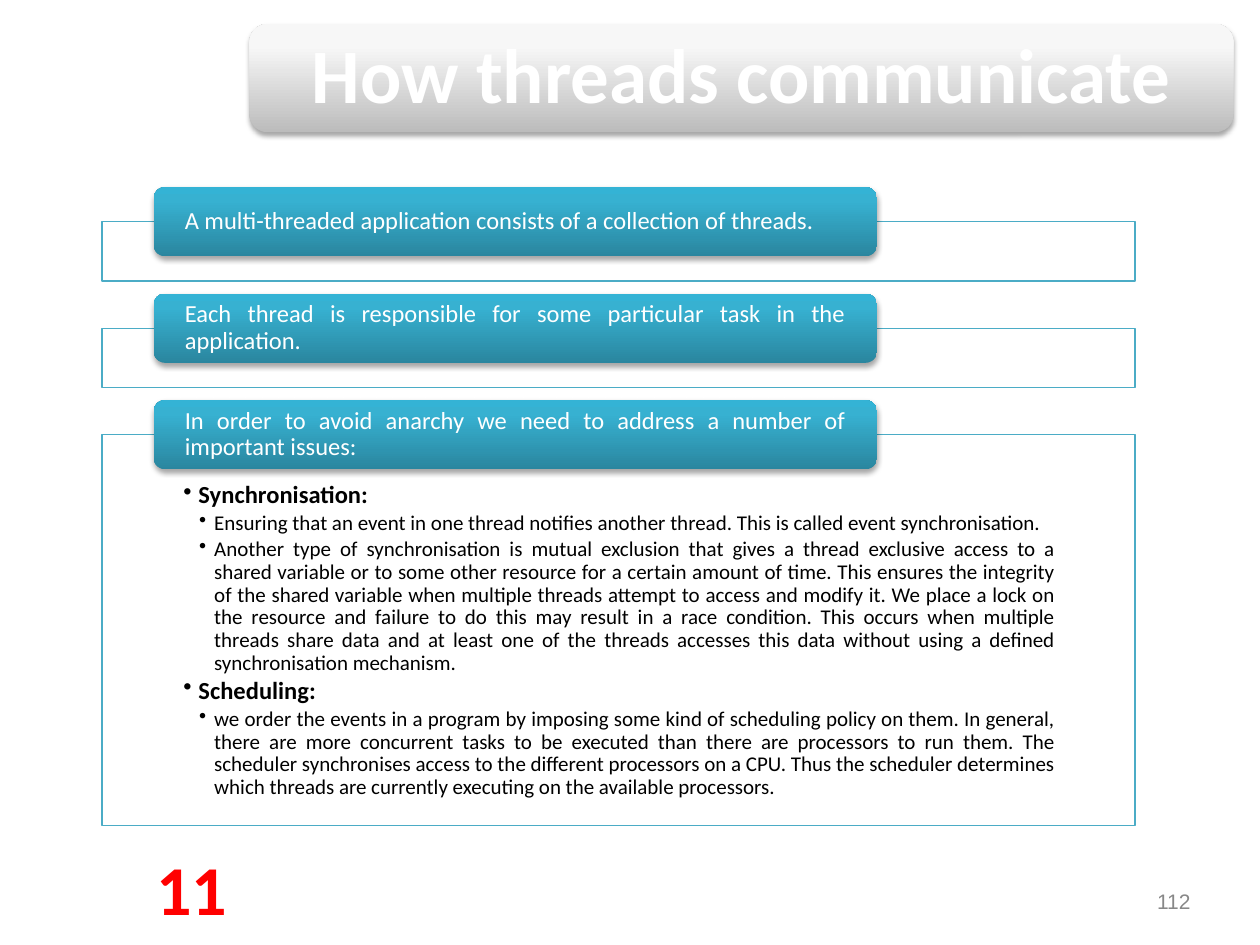
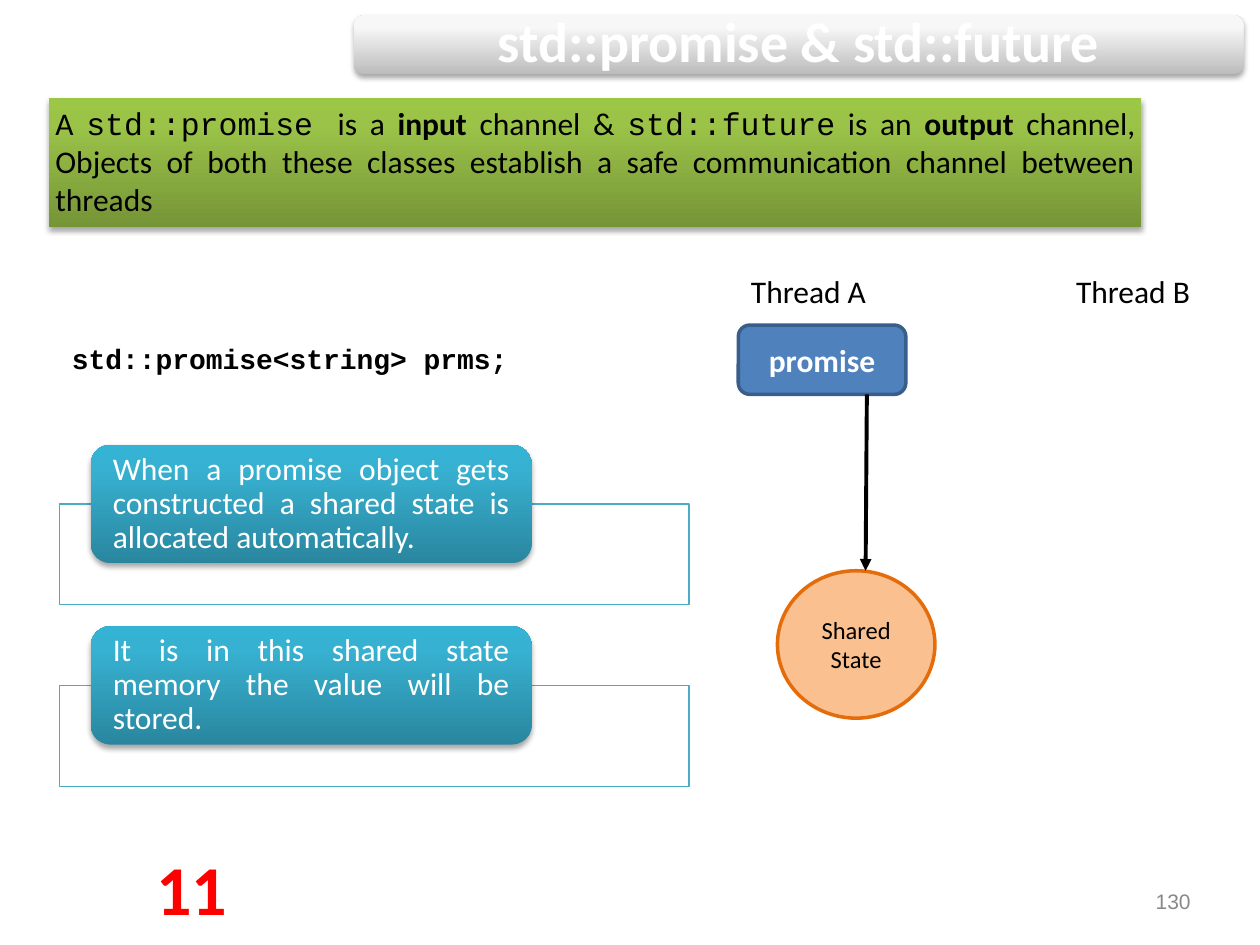
from copy import deepcopy

from lxml.etree import SubElement
from pptx import Presentation
from pptx.dml.color import RGBColor
from pptx.enum.shapes import MSO_CONNECTOR as LINK, MSO_SHAPE as FORM
from pptx.enum.text import MSO_ANCHOR as ANCHOR, MSO_AUTO_SIZE as FIT, PP_ALIGN as ALIGN
from pptx.oxml.ns import qn
from pptx.util import Inches, Pt

WHITE, BLACK, RED, GREY = "FFFFFF", "000000", "FF0000", "888888"
SILVER = ("BCBCBC", "F7F7F7", "F8F8F8")
TEAL = ("2A869F", "37B1D1", "34B3D5")
GREEN = ("769537", "9BC348", "9CC646")
SANS, MONO = "Calibri", "Courier New"
ISSUES = (
    (1, "Synchronisation:"),
    (2, "Ensuring that an event in one thread notifies another thread. "
        "This is called event synchronisation."),
    (2, "Another type of synchronisation is mutual exclusion that gives a thread "
        "exclusive access to a shared variable or to some other resource for a certain "
        "amount of time. This ensures the integrity of the shared variable when multiple "
        "threads attempt to access and modify it. We place a lock on the resource and "
        "failure to do this may result in a race condition. This occurs when multiple "
        "threads share data and at least one of the threads accesses this data without "
        "using a defined synchronisation mechanism."),
    (1, "Scheduling:"),
    (2, "we order the events in a program by imposing some kind of scheduling policy on "
        "them. In general, there are more concurrent tasks to be executed than there are "
        "processors to run them. The scheduler synchronises access to the different "
        "processors on a CPU. Thus the scheduler determines which threads are currently "
        "executing on the available processors."),
)


def tint(color, code):
    """Set a colour from a hex string."""
    color.rgb = RGBColor.from_string(code)


def place(box):
    """Turn a box in inches into lengths."""
    return [Inches(n) for n in box]


def shape(slide, form, box, fill, edge=None, width=0.75):
    """Add a flat shape with a solid fill and an optional outline."""
    item = slide.shapes.add_shape(form, *place(box))
    item.shadow.inherit = False
    item.fill.solid()
    tint(item.fill.fore_color, fill)
    if edge:
        tint(item.line.color, edge)
        item.line.width = Pt(width)
    else:
        item.line.fill.background()
    return item


def glossy(slide, form, box, shades):
    """Add a shape with a three-stop gradient and a soft shadow."""
    item = shape(slide, form, box, shades[0])
    item.fill.gradient()
    item.fill.gradient_angle = 90
    props = item._element.spPr
    stops = props.find(".//" + qn("a:gsLst"))
    stops.append(deepcopy(stops[-1]))
    for stop, spot, code in zip(item.fill.gradient_stops, (0, 0.8, 1), shades):
        stop.position = spot
        tint(stop.color, code)
    cast = SubElement(props.find(qn("a:effectLst")), qn("a:outerShdw"),
                      blurRad=str(Pt(3)), dist=str(Pt(1.8)), dir="5400000", rotWithShape="0")
    shade = SubElement(cast, qn("a:srgbClr"), val=BLACK)
    SubElement(shade, qn("a:alpha"), val="35000")
    return item


def frame(item, anchor=ANCHOR.TOP, side=0.05, edge=0.05):
    """Prepare the text frame of a shape and return it."""
    text = item.text_frame
    text.word_wrap, text.auto_size = True, FIT.NONE
    text.vertical_anchor = anchor
    text.margin_left = text.margin_right = Inches(side)
    text.margin_top = text.margin_bottom = Inches(edge)
    return text


def run(par, words, size, color, bold=False, font=SANS):
    """Add one formatted run to a paragraph."""
    part = par.add_run()
    part.text = words
    part.font.size, part.font.bold, part.font.name = Pt(size), bold, font
    tint(part.font.color, color)


def write(text, words, size, color, align=ALIGN.LEFT, bold=False, font=SANS, pitch=None):
    """Fill the first paragraph of a text frame with one run."""
    par = text.paragraphs[0]
    par.alignment, par.line_spacing = align, pitch
    run(par, words, size, color, bold, font)


def label(slide, box, words, size, color, anchor=ANCHOR.TOP, **look):
    """Add a text box that holds one run."""
    write(frame(slide.shapes.add_textbox(*place(box)), anchor), words, size, color, **look)


def start(deck, title, size, box, number):
    """Add a slide with its title band, mark and page number."""
    slide = deck.slides.add_slide(deck.slide_layouts[5])
    glossy(slide, FORM.ROUNDED_RECTANGLE, box, SILVER)
    head = slide.shapes.title
    head.left, head.top, head.width, head.height = place(box)
    slide.shapes._spTree.append(head._element)
    write(frame(head, ANCHOR.MIDDLE, edge=0), title, size, WHITE, ALIGN.CENTER, True, pitch=0.9)
    label(slide, (1.18, 6.66, 0.68, 0.66), "11", 40, RED, align=ALIGN.CENTER, bold=True)
    label(slide, (9.1, 7.02, 0.4, 0.27), number, 12, GREY, ANCHOR.MIDDLE,
          align=ALIGN.RIGHT, font="Arial")
    return slide


def panel(slide, box, high, words, size, side):
    """Add an outlined panel with a heading pill across its top edge."""
    left, top, wide, _ = box
    shape(slide, FORM.RECTANGLE, box, WHITE, "4BACC6")
    pill = glossy(slide, FORM.ROUNDED_RECTANGLE,
                  (left + 0.05 * wide, top - high / 2, 0.7 * wide, high), TEAL)
    write(frame(pill, ANCHOR.MIDDLE, side, 0), words, size, WHITE, ALIGN.JUSTIFY, pitch=0.9)


def issues(slide, box):
    """List the issues as bullets on two levels."""
    text = frame(slide.shapes.add_textbox(*place(box)), side=0.11, edge=0.11)
    for rank, (level, words) in enumerate(ISSUES):
        par = text.add_paragraph() if rank else text.paragraphs[0]
        props = par._p.get_or_add_pPr()
        props.set("marL", str(Inches(0.125 * level)))
        props.set("indent", str(-Inches(0.12)))
        SubElement(props, qn("a:buChar"), char="•")
        par.level = level
        par.alignment, par.line_spacing = ALIGN.JUSTIFY, 0.9
        if rank:
            par.space_before = Pt(2)
        run(par, words, 16 - 2 * level, BLACK, level == 1)


def banner(slide, box):
    """Add the green box that defines both classes."""
    par = frame(glossy(slide, FORM.RECTANGLE, box, GREEN)).paragraphs[0]
    par.alignment = ALIGN.JUSTIFY
    for words, bold, font in (
            ("A ", False, SANS), ("std::promise ", False, MONO), ("is a ", False, SANS),
            ("input", True, SANS), (" channel & ", False, SANS),
            ("std::future", False, MONO), (" is an ", False, SANS), ("output", True, SANS),
            (" channel, Objects of both these classes establish a safe "
             "communication channel between threads", False, SANS)):
        run(par, words, 18, BLACK, bold, font)


def diagram(slide, left, top):
    """Draw the promise of thread A pointing to the shared state."""
    for name, shift in (("Thread A", 0.05), ("Thread B", 2.63)):
        label(slide, (left + shift, top, 1.15, 0.36), name, 18, BLACK)
    state = shape(slide, FORM.OVAL, (left + 0.31, top + 2.42, 1.25, 1.17), "FAC090", "E46C0A", 2)
    write(frame(state, ANCHOR.MIDDLE), "Shared State", 14, BLACK, ALIGN.CENTER)
    pledge = shape(slide, FORM.ROUNDED_RECTANGLE, (left, top + 0.47, 1.33, 0.55),
                   "4F81BD", "3A5E8A", 2)
    write(frame(pledge, ANCHOR.MIDDLE), "promise", 18, WHITE, ALIGN.CENTER, True)
    ends = place((left + 1.02, top + 1.02, left + 1.01, top + 2.42))
    arrow = slide.shapes.add_connector(LINK.STRAIGHT, *ends)
    tint(arrow.line.color, BLACK)
    arrow.line.width = Pt(2.25)
    SubElement(arrow.line._get_or_add_ln(), qn("a:tailEnd"), type="triangle")
    SubElement(arrow._element.spPr, qn("a:effectLst"))


def talk(deck):
    """Build the slide on how threads communicate."""
    slide = start(deck, "How threads communicate", 44, (1.98, 0.19, 7.81, 0.86), "112")
    for rank, (high, words) in enumerate((
            (0.47, "A multi-threaded application consists of a collection of threads."),
            (0.47, "Each thread is responsible for some particular task in the application."),
            (3.1, "In order to avoid anarchy we need to address a number of important issues:"))):
        panel(slide, (0.81, 1.76 + 0.845 * rank, 8.2, high), 0.55, words, 14, 0.22)
    issues(slide, (1.34, 3.72, 7.15, 2.89))


def pledge(deck):
    """Build the slide on promise and future."""
    slide = start(deck, "std::promise & std::future", 32, (2.81, 0.12, 7.06, 0.47), "130")
    banner(slide, (0.39, 0.78, 8.67, 1.02))
    label(slide, (0.52, 2.66, 3.88, 0.35), "std::promise<string> prms;", 16, BLACK,
          bold=True, font=MONO)
    diagram(slide, 5.86, 2.11)
    for rank, words in enumerate((
            "When a promise object gets constructed a shared state is allocated automatically.",
            "It is in this shared state memory the value will be stored.")):
        panel(slide, (0.47, 4 + 1.44 * rank, 5, 0.8), 0.94, words, 18, 0.13)


def main():
    """Build and save the deck."""
    deck = Presentation()
    deck.slide_width, deck.slide_height = Inches(10), Inches(7.5)
    talk(deck)
    pledge(deck)
    deck.save("out.pptx")


if __name__ == "__main__":
    main()
